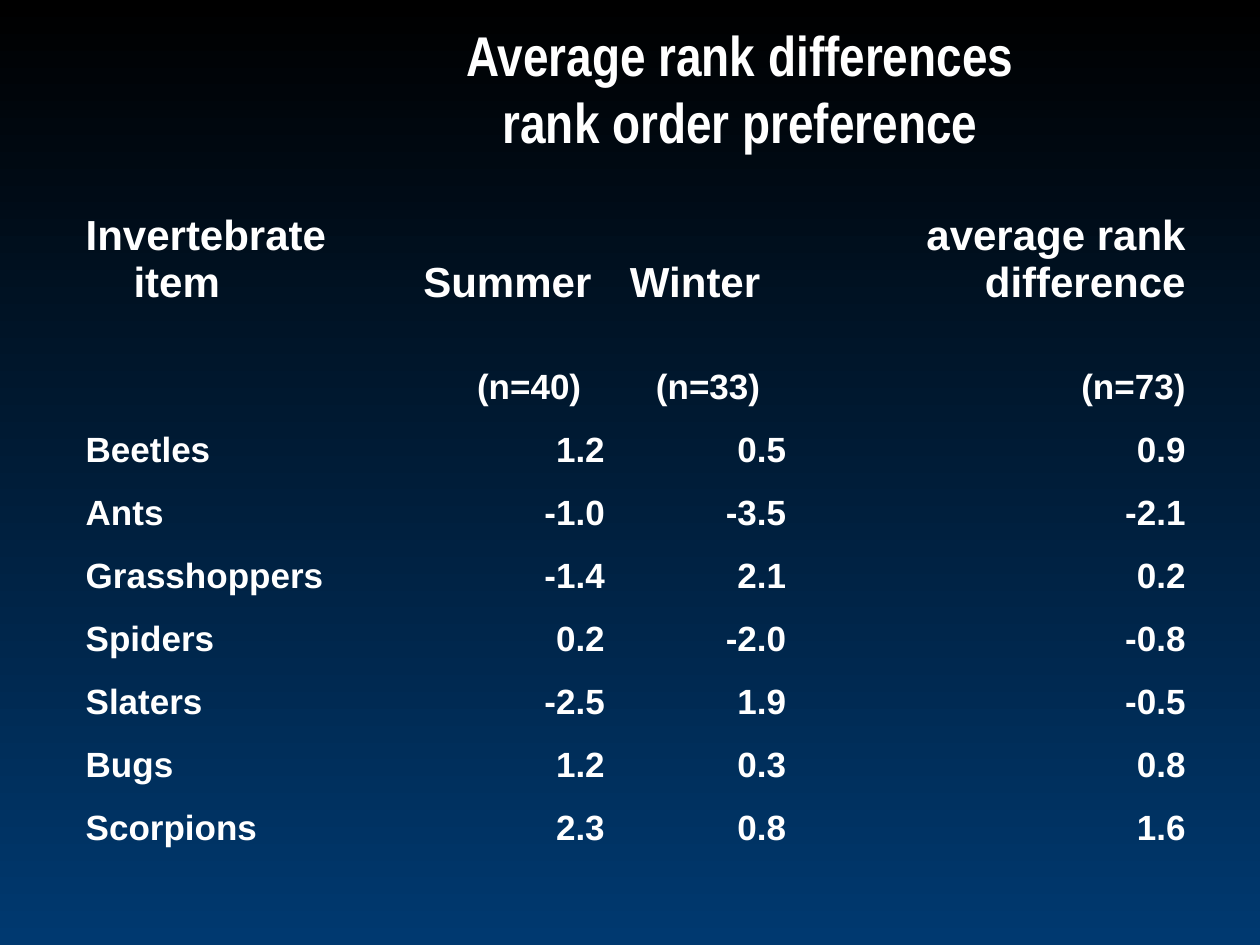
from pptx import Presentation
from pptx.dml.color import RGBColor
from pptx.enum.text import MSO_ANCHOR, PP_ALIGN
from pptx.util import Inches, Pt

WHITE = RGBColor(0xFF, 0xFF, 0xFF)
BLACK = RGBColor(0x00, 0x00, 0x00)
NAVY = RGBColor(0x00, 0x39, 0x70)
NO_STYLE = "{2D5ABB26-0587-4C30-8999-92F81FD0307C}"
LEFT, CENTER, RIGHT = PP_ALIGN.LEFT, PP_ALIGN.CENTER, PP_ALIGN.RIGHT


def format_paragraph(paragraph, name, size, alignment, margin, indent):
    properties = paragraph._p.get_or_add_pPr()
    properties.set("marL", str(Inches(margin)))
    properties.set("indent", str(Inches(indent)))
    paragraph.alignment = alignment
    for run in paragraph.runs:
        run.font.name = name
        run.font.size = Pt(size)
        run.font.bold = True
        run.font.color.rgb = WHITE


presentation = Presentation()
presentation.slide_width = Inches(10)
presentation.slide_height = Inches(7.5)
slide = presentation.slides.add_slide(presentation.slide_layouts[6])

background = slide.background.fill
background.gradient()
background.gradient_angle = 270
for stop, color in zip(background.gradient_stops, (BLACK, NAVY)):
    stop.color.rgb = color

title = slide.shapes.add_textbox(Inches(2.25), Inches(0.28), Inches(7.25), Inches(0.83))
title.text_frame.word_wrap = True
title.text_frame.vertical_anchor = MSO_ANCHOR.MIDDLE
title_paragraph = title.text_frame.paragraphs[0]
title_paragraph.text = "Average rank differences\vrank order preference"
format_paragraph(title_paragraph, "Arial Narrow", 32, CENTER, 0, -0.22)

rows = [
    ("Invertebrate item", "Summer", None, "Winter", "average rank difference"),
    (None, None, "(n=40)", "(n=33)", "(n=73)"),
    ("Beetles", None, "1.2", "0.5", "0.9"),
    ("Ants", None, "-1.0", "-3.5", "-2.1"),
    ("Grasshoppers", None, "-1.4", "2.1", "0.2"),
    ("Spiders", None, "0.2", "-2.0", "-0.8"),
    ("Slaters", None, "-2.5", "1.9", "-0.5"),
    ("Bugs", None, "1.2", "0.3", "0.8"),
    ("Scorpions", None, "2.3", "0.8", "1.6"),
]
column_widths = [2.68, 0.24, 1.4, 1.44, 3.17]
row_heights = [0.9, 0.8] + [0.5] * 7
header_alignments = [LEFT, LEFT, LEFT, LEFT, RIGHT]
count_alignments = [LEFT, LEFT, CENTER, CENTER, RIGHT]
value_alignments = [LEFT, LEFT, RIGHT, RIGHT, RIGHT]
row_alignments = [header_alignments, count_alignments] + [value_alignments] * 7

table_frame = slide.shapes.add_table(
    len(rows), len(column_widths), Inches(0.58), Inches(1.58), Inches(8.92), Inches(5.18)
)
table = table_frame.table
table.first_row = False
table.horz_banding = False
table._tbl.tblPr[0].text = NO_STYLE
for column, width in zip(table.columns, column_widths):
    column.width = Inches(width)
for row, height in zip(table.rows, row_heights):
    row.height = Inches(height)

for row_index, (texts, alignments) in enumerate(zip(rows, row_alignments)):
    first_merged = 1 if row_index == 0 else 0
    table.cell(row_index, first_merged).merge(table.cell(row_index, first_merged + 1))
    for column_index, (text, alignment) in enumerate(zip(texts, alignments)):
        cell = table.cell(row_index, column_index)
        cell.fill.background()
        cell.vertical_anchor = MSO_ANCHOR.BOTTOM
        if text:
            cell.text_frame.text = text
            size = 24 if row_index == 0 else 20
            format_paragraph(cell.text_frame.paragraphs[0], "Arial", size, alignment, 0.38, -0.38)

presentation.save("out.pptx")
